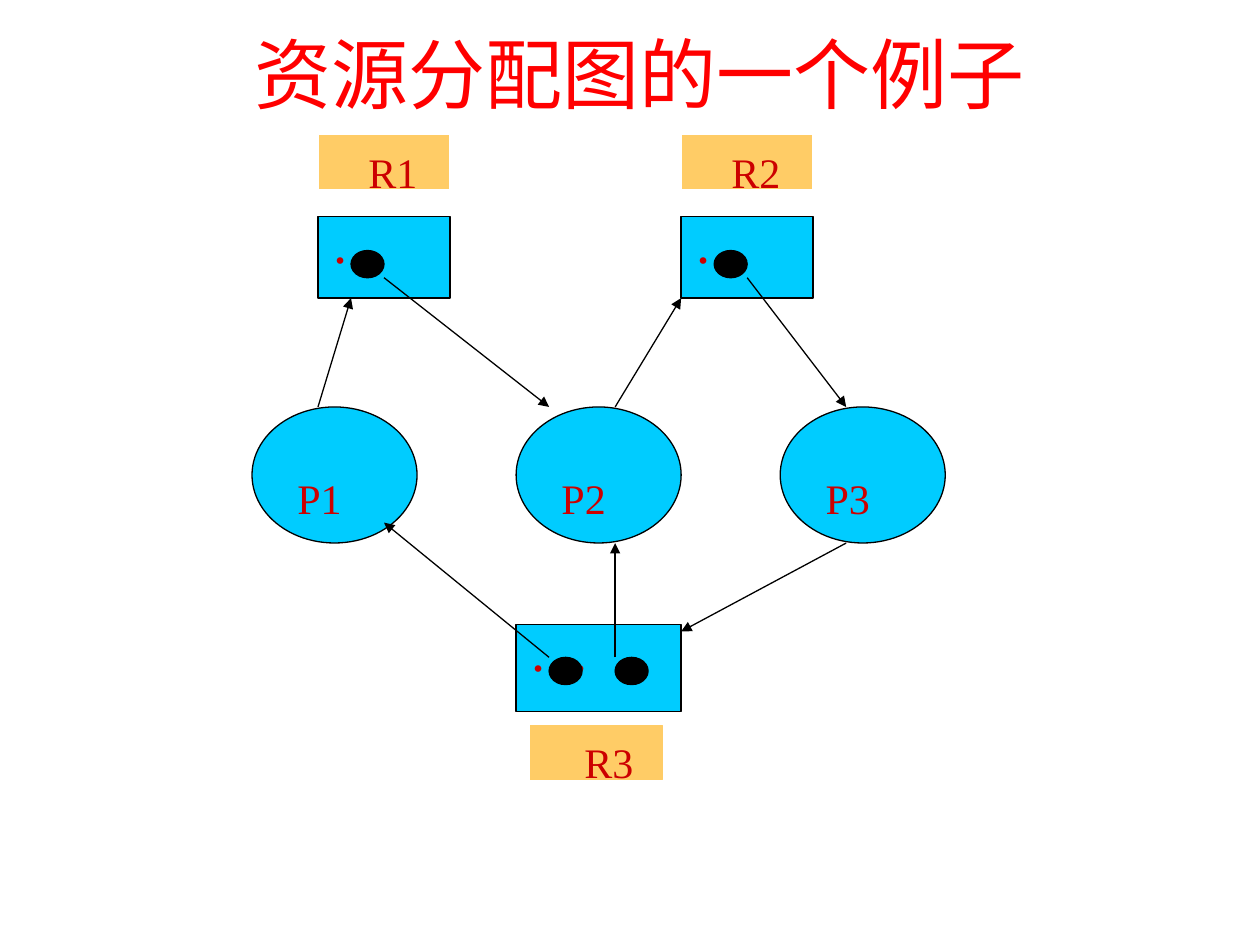
from pptx import Presentation
from pptx.dml.color import RGBColor
from pptx.enum.shapes import MSO_CONNECTOR, MSO_SHAPE
from pptx.enum.text import MSO_ANCHOR, PP_ALIGN
from pptx.oxml.ns import qn
from pptx.util import Inches, Pt
from lxml.etree import SubElement

RED = RGBColor(0xFF, 0x00, 0x00)
DARK_RED = RGBColor(0xCC, 0x00, 0x00)
ORANGE = RGBColor(0xFF, 0xCC, 0x66)
CYAN = RGBColor(0x00, 0xCC, 0xFF)
BLACK = RGBColor(0x00, 0x00, 0x00)
WHITE = RGBColor(0xFF, 0xFF, 0xFF)
LATIN_FONT, ASIAN_FONT = "Times New Roman", "Noto Sans CJK JP"

LEFT, TOP = 2.0, 1.07
COLUMN, ROW = 0.262, 0.216


def grid_point(column, row):
    """Return the slide position of a grid point."""
    return Inches(LEFT + column * COLUMN), Inches(TOP + row * ROW)


def grid_box(column, row, columns, rows):
    """Return left, top, width and height of a box given in grid units."""
    return *grid_point(column, row), Inches(columns * COLUMN), Inches(rows * ROW)


def write(shape, text, size, color, align=PP_ALIGN.LEFT, inset=0.1, top=0.09,
          anchor=MSO_ANCHOR.TOP, font=LATIN_FONT):
    """Write one formatted line of text in a shape."""
    frame = shape.text_frame
    frame.text = text
    frame.word_wrap = True
    frame.vertical_anchor = anchor
    frame.margin_left, frame.margin_top = Inches(inset), Inches(top)
    frame.margin_right = frame.margin_bottom = 0
    paragraph = frame.paragraphs[0]
    paragraph.alignment = align
    run = paragraph.runs[0]
    run.font.name, run.font.size = font, Pt(size)
    run.font.color.rgb = color
    SubElement(run.font._element, qn("a:ea")).set("typeface", ASIAN_FONT)


def add_node(slide, preset, box, fill, outline=BLACK):
    """Add a filled and outlined shape on the grid."""
    node = slide.shapes.add_shape(preset, *grid_box(*box))
    node.shadow.inherit = False
    node.fill.solid()
    node.fill.fore_color.rgb = fill
    node.line.color.rgb = outline
    node.line.width = Pt(0.75)
    return node


def add_title(slide, text):
    """Place the centred slide title."""
    title = slide.shapes.title
    title.left, title.top = Inches(0.83), Inches(0.21)
    title.width, title.height = Inches(8.5), Inches(0.73)
    write(title, text, 44, RED, PP_ALIGN.CENTER, 0, 0, MSO_ANCHOR.MIDDLE)


def add_label(slide, name, column, row, outline, inset):
    """Add the name plate of a resource."""
    plate = add_node(slide, MSO_SHAPE.RECTANGLE, (column, row, 4, 2), ORANGE, outline)
    write(plate, name, 24, DARK_RED, inset=inset)


def add_resource(slide, dots, box):
    """Add a resource box with its dot text."""
    resource = add_node(slide, MSO_SHAPE.RECTANGLE, box, CYAN)
    write(resource, dots, 24, DARK_RED, PP_ALIGN.JUSTIFY, top=0.05, font=ASIAN_FONT)


def add_process(slide, name, column, row):
    """Add a process ellipse with its name."""
    add_node(slide, MSO_SHAPE.OVAL, (column, row, 5, 5), CYAN)
    caption = slide.shapes.add_textbox(*grid_box(column + 1, row + 2, 3, 2))
    write(caption, name, 24, DARK_RED)


def add_arrow(slide, start, end):
    """Draw an arrow between two grid points."""
    arrow = slide.shapes.add_connector(
        MSO_CONNECTOR.STRAIGHT, *grid_point(*start), *grid_point(*end))
    arrow.line.color.rgb = BLACK
    arrow.line.width = Pt(0.75)
    SubElement(arrow.line._get_or_add_ln(), qn("a:tailEnd")).set("type", "triangle")
    SubElement(arrow._element.spPr, qn("a:effectLst"))


def add_allocation_graph(slide):
    """Draw the resources, processes, edges and resource instances."""
    for name, column in (("R1", 2), ("R2", 13)):
        add_label(slide, name, column, 0, WHITE, 0.4)
    for dots, box in (("．", (2, 3, 4, 3)), ("．．", (8, 18, 5, 3.2)), ("．", (13, 3, 4, 3))):
        add_resource(slide, dots, box)
    for index in range(3):
        add_process(slide, f"P{index + 1}", 8 * index, 10)
    edges = (
        ((2, 10), (3, 6)),
        ((4, 5.25), (9, 10)),
        ((11, 10), (13, 6)),
        ((15, 5.25), (18, 10)),
        ((9, 19.2), (4, 14.25)),
        ((11, 19.2), (11, 15)),
        ((18, 15), (13, 18.25)),
    )
    for start, end in edges:
        add_arrow(slide, start, end)
    add_label(slide, "R3", 8.43, 21.7, ORANGE, 0.43)
    for column, row in ((3, 4.25), (14, 4.25), (9, 19.2), (11, 19.2)):
        add_node(slide, MSO_SHAPE.OVAL, (column, row, 1, 1), BLACK)


def main():
    """Build and save the slide."""
    presentation = Presentation()
    presentation.slide_width, presentation.slide_height = Inches(10), Inches(7.5)
    slide = presentation.slides.add_slide(presentation.slide_layouts[5])
    add_title(slide, "资源分配图的一个例子")
    add_allocation_graph(slide)
    presentation.save("out.pptx")


if __name__ == "__main__":
    main()
